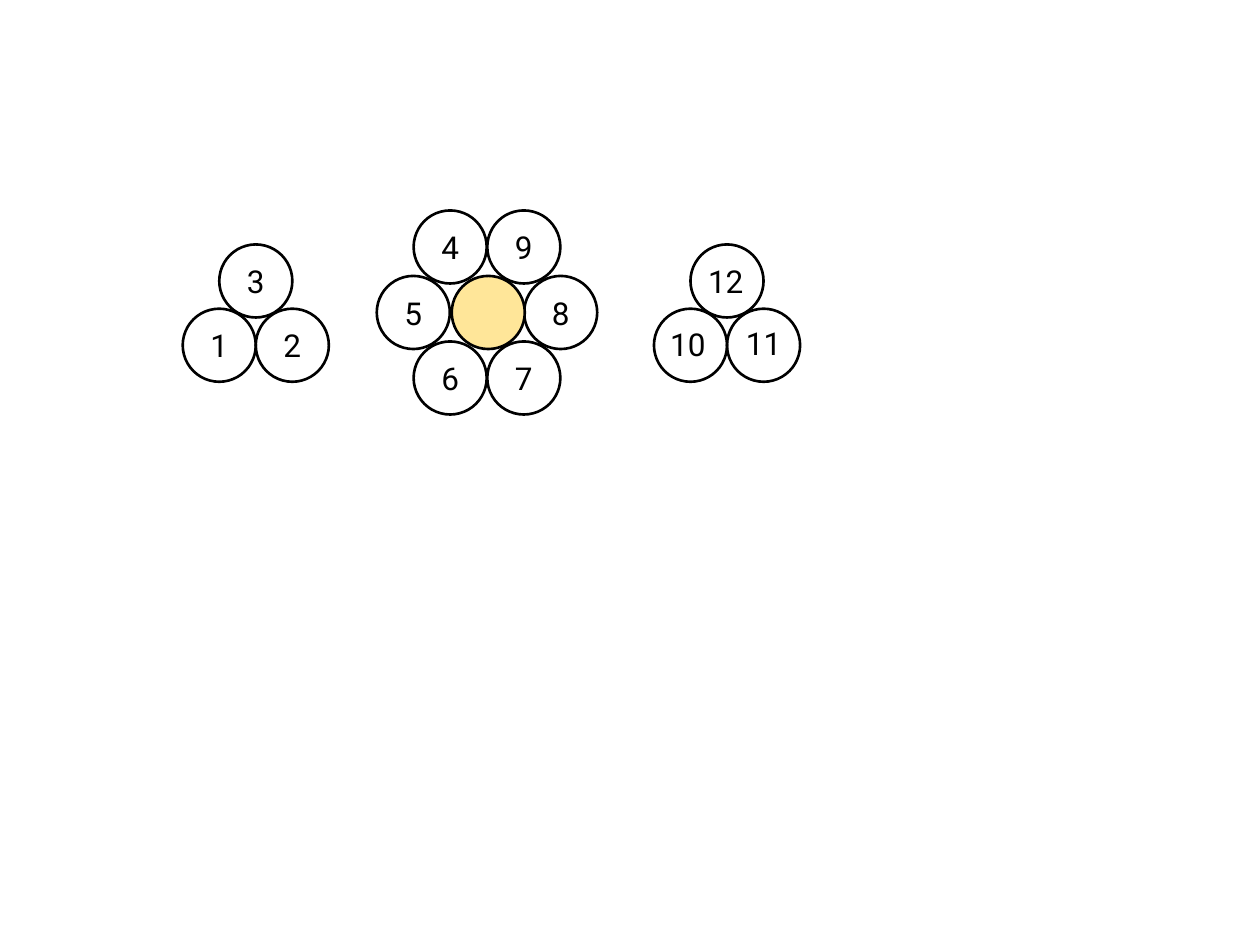
import pptx
import pptx.dml.color
import pptx.enum.shapes
import pptx.enum.text
import pptx.util
from pptx.util import Inches

BLACK = pptx.dml.color.RGBColor(0x00, 0x00, 0x00)
YELLOW = pptx.dml.color.RGBColor(0xFF, 0xE6, 0x99)
DIAMETER = 0.58
LABEL_WIDTH, LABEL_HEIGHT = 0.64, 0.4


def write_text(shape, text, font="Roboto", size=18, color=BLACK,
               anchor=pptx.enum.text.MSO_ANCHOR.MIDDLE):
    frame = shape.text_frame
    frame.word_wrap = True
    frame.vertical_anchor = anchor
    paragraph = frame.paragraphs[0]
    paragraph.alignment = pptx.enum.text.PP_ALIGN.CENTER
    run = paragraph.add_run()
    run.text = text
    run.font.name = font
    run.font.size = pptx.util.Pt(size)
    run.font.color.rgb = color


def add_circle(shapes, left, top, number=None, fill=None):
    circle = shapes.add_shape(pptx.enum.shapes.MSO_SHAPE.OVAL, Inches(left),
                              Inches(top), Inches(DIAMETER), Inches(DIAMETER))
    circle.shadow.inherit = False
    if fill is None:
        circle.fill.background()
    else:
        circle.fill.solid()
        circle.fill.fore_color.rgb = fill
    circle.line.color.rgb = BLACK
    circle.line.width = pptx.util.Pt(1.5)
    if number is not None:
        write_text(circle, str(number))


def add_label(shapes, left, top, number):
    label = shapes.add_textbox(Inches(left), Inches(top),
                               Inches(LABEL_WIDTH), Inches(LABEL_HEIGHT))
    write_text(label, str(number), anchor=pptx.enum.text.MSO_ANCHOR.TOP)
    label.text_frame.auto_size = pptx.enum.text.MSO_AUTO_SIZE.SHAPE_TO_FIT_TEXT


def triangle_spots(left, top, width, height):
    base = top + height - DIAMETER
    right = left + width - DIAMETER
    return [(left, base), ((left + right) / 2, top), (right, base)]


def add_numbered_triangle(slide, box, numbers):
    group = slide.shapes.add_group_shape()
    for (left, top), number in zip(triangle_spots(*box), numbers):
        add_circle(group.shapes, left, top, number)


def add_labelled_triangle(slide, box, numbers):
    group = slide.shapes.add_group_shape()
    spots = triangle_spots(*box)
    for left, top in spots:
        add_circle(group.shapes, left, top)
    label_shifts = [(-0.05, 0.08), (-0.04, 0.09), (-0.03, 0.07)]
    for (left, top), (dx, dy), number in zip(spots, label_shifts, numbers):
        add_label(group.shapes, left + dx, top + dy, number)


def add_flower(slide, box, petals):
    left, top, width, height = box
    column = (width - DIAMETER) / 4
    row = (height - DIAMETER) / 2
    petal_cells = [(1, 0), (0, 1), (1, 2), (3, 2), (4, 1), (3, 0)]
    for (x, y), number in zip(petal_cells, petals):
        add_circle(slide.shapes, left + x * column, top + y * row, number)
    add_circle(slide.shapes, left + 2 * column + 0.01, top + row, fill=YELLOW)


def main():
    presentation = pptx.Presentation()
    presentation.slide_width = Inches(10)
    presentation.slide_height = Inches(7.5)
    slide = presentation.slides.add_slide(presentation.slide_layouts[6])
    add_flower(slide, (2.99, 1.67, 1.75, 1.62), range(4, 10))
    add_numbered_triangle(slide, (1.45, 1.94, 1.16, 1.09), (1, 3, 2))
    add_labelled_triangle(slide, (5.19, 1.94, 1.16, 1.09), (10, 12, 11))
    presentation.save("out.pptx")


if __name__ == "__main__":
    main()
